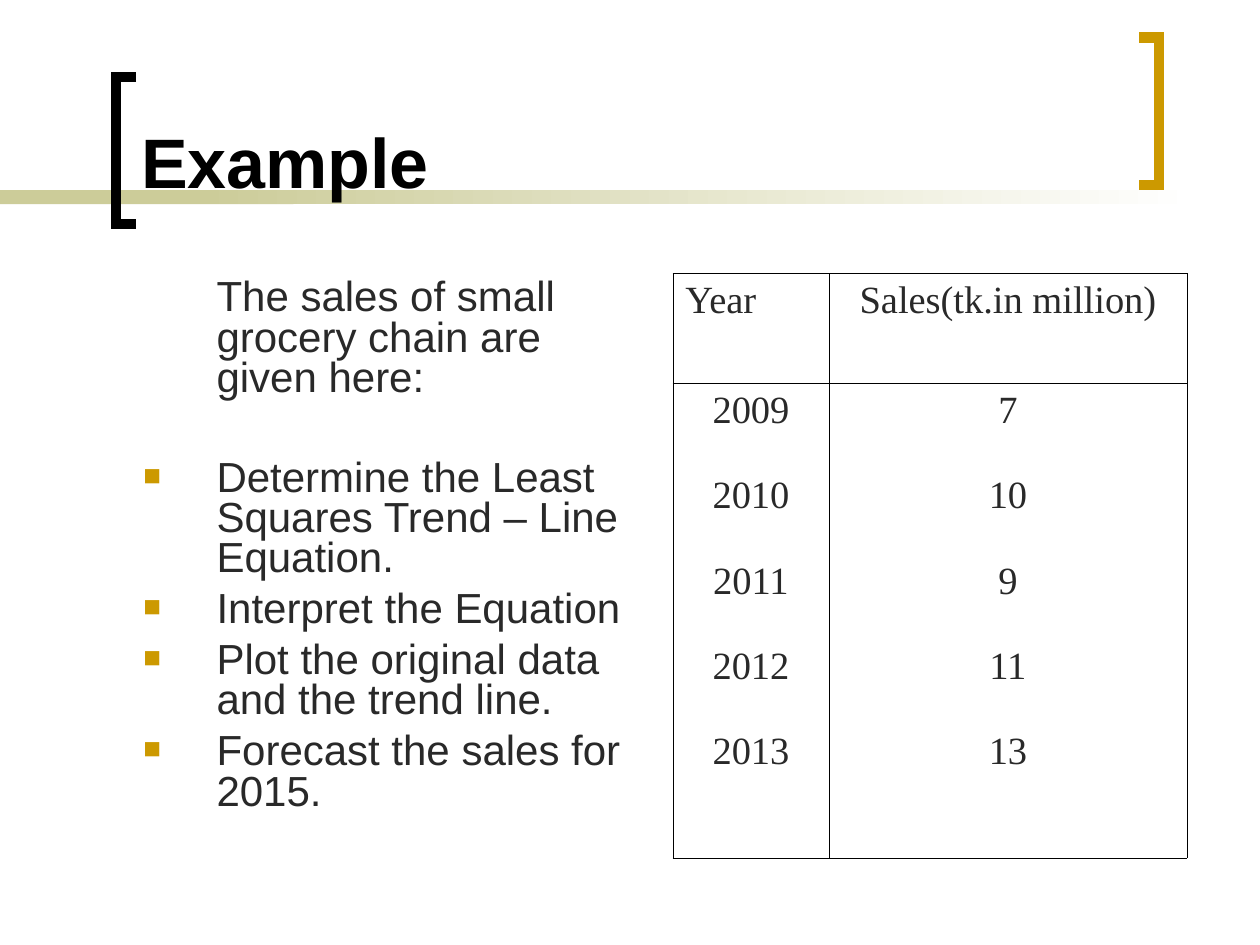
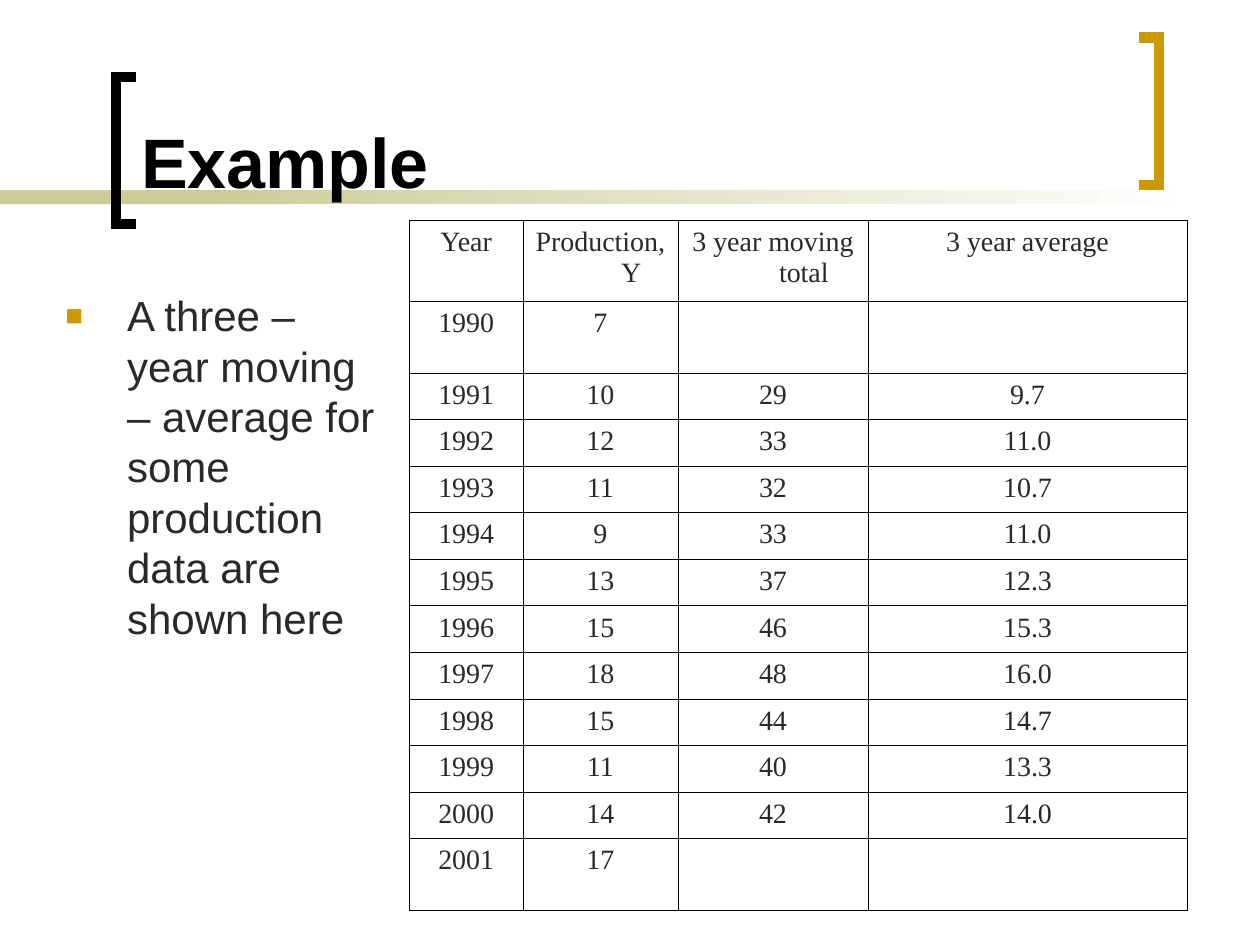
from lxml import etree
from pptx import Presentation
from pptx import util as u
from pptx.dml.color import RGBColor
from pptx.enum import shapes, text
from pptx.oxml.ns import qn

BLACK = RGBColor(0x00, 0x00, 0x00)
WHITE = RGBColor(0xFF, 0xFF, 0xFF)
INK = RGBColor(0x29, 0x29, 0x29)
SAND = RGBColor(0xCC, 0xCC, 0x99)
GOLD = RGBColor(0xCC, 0x99, 0x00)

SANS, SERIF = "Arial", "Times New Roman"
CELL_INDENT = 0.49

SALES = [("2009", "7"), ("2010", "10"), ("2011", "9"), ("2012", "11"), ("2013", "13")]
PRODUCTION = [
    ("1990", "7", "", ""),
    ("1991", "10", "29", "9.7"),
    ("1992", "12", "33", "11.0"),
    ("1993", "11", "32", "10.7"),
    ("1994", "9", "33", "11.0"),
    ("1995", "13", "37", "12.3"),
    ("1996", "15", "46", "15.3"),
    ("1997", "18", "48", "16.0"),
    ("1998", "15", "44", "14.7"),
    ("1999", "11", "40", "13.3"),
    ("2000", "14", "42", "14.0"),
    ("2001", "17", "", ""),
]

SLIDES = [
    {
        "title": "Example",
        "body": {
            "box": (1.04, 2.17, 4.11, 4.5), "indent": 0.58, "spacing": 0.8,
            "intro": "The sales of small grocery chain are given here:",
            "bullets": [
                "Determine the Least Squares Trend – Line Equation.",
                "Interpret the Equation",
                "Plot the original data and the trend line.",
                "Forecast the sales for 2015.",
            ],
        },
        "table": {
            "at": (5.34, 2.17), "cols": [1.24, 2.84], "rows": [0.87, 3.77],
            "size": 22, "gap": 24.4, "left_header": True,
            # each column of figures fills one tall cell
            "cells": [("Year", "Sales(tk.in million)"),
                      ["\n".join(column) for column in zip(*SALES)]],
        },
    },
    {
        "title": "Example",
        "body": {
            "box": (0.42, 2.25, 2.67, 4.5), "indent": 0.49, "spacing": 1.0,
            "intro": None,
            "bullets": ["A three – year moving – average for some production "
                        "data are shown here"],
        },
        "table": {
            "at": (3.25, 1.75), "cols": [0.9, 1.23, 1.51, 2.53],
            "rows": [0.64, 0.57] + [0.37] * 10 + [0.57],
            "size": 16, "gap": 0, "left_header": False,
            "cells": [("Year", "Production, Y", "3 year moving total",
                       "3 year average")] + PRODUCTION,
        },
    },
]


def inches(values):
    return [u.Inches(v) for v in values]


def format_text(p, font, size, color, bold=False):
    for r in p.runs:
        r.font.name, r.font.size, r.font.bold = font, u.Pt(size), bold
        r.font.color.rgb = color


def set_indent(p, left, first):
    pPr = p._p.get_or_add_pPr()
    pPr.set("marL", str(u.Inches(left)))
    pPr.set("indent", str(u.Inches(first)))
    return pPr


def add_band(s, box):
    sp = s.shapes.add_shape(shapes.MSO_SHAPE.RECTANGLE, *inches(box))
    sp.shadow.inherit = False
    sp.line.fill.background()
    return sp.fill


def add_bracket(s, spine, tip, top, color):
    """Draw a square bracket whose arms reach from spine to tip."""
    height = 1.17
    points = [(spine, top), (spine, top + height), (tip, top + height)]
    builder = s.shapes.build_freeform(*inches((tip, top)))
    builder.add_line_segments([inches(pt) for pt in points], close=False)
    sp = builder.convert_to_shape()
    sp.shadow.inherit = False
    sp.fill.background()
    sp.line.color.rgb, sp.line.width = color, u.Pt(6)
    etree.SubElement(sp.line._get_or_add_ln(), qn("a:miter"), lim="800000")


def add_frame(s, title):
    """Add the bands, brackets and title that every slide shares."""
    fill = add_band(s, (0, 1.51, 2.33, 0.11))
    fill.solid()
    fill.fore_color.rgb = SAND
    fill = add_band(s, (1.58, 1.51, 7.92, 0.11))
    fill.gradient()
    fill.gradient_angle = 0
    for stop, color in zip(fill.gradient_stops, (SAND, WHITE)):
        stop.color.rgb = color
    add_bracket(s, 0.92, 1.08, 0.61, BLACK)
    add_bracket(s, 9.2, 9.04, 0.3, GOLD)

    sp = s.shapes.title
    sp.left, sp.top, sp.width, sp.height = inches((1.02, 0.11, 7.83, 1.55))
    sp.element.getparent().append(sp.element)  # in front of the bands
    tf = sp.text_frame
    tf.text = title
    tf.auto_size = text.MSO_AUTO_SIZE.NONE
    tf.vertical_anchor = text.MSO_ANCHOR.BOTTOM
    p = tf.paragraphs[0]
    p.alignment = text.PP_ALIGN.LEFT
    format_text(p, SANS, 40, BLACK, bold=True)


def add_bullet(pPr):
    color = etree.SubElement(pPr, qn("a:buClr"))
    etree.SubElement(color, qn("a:srgbClr"), val=str(GOLD))
    etree.SubElement(pPr, qn("a:buSzPct"), val="70000")
    etree.SubElement(pPr, qn("a:buFont"), typeface=SANS)
    etree.SubElement(pPr, qn("a:buChar"), char="■")


def add_body(s, box, indent, spacing, intro, bullets):
    tf = s.shapes.add_textbox(*inches(box)).text_frame
    tf.word_wrap = True
    lines = ([intro] if intro else []) + bullets
    tf.text = "\n".join(lines)
    for p, line in zip(tf.paragraphs, lines):
        p.line_spacing, p.space_before = spacing, u.Pt(6)
        if line == intro:
            set_indent(p, indent, 0)
        else:
            add_bullet(set_indent(p, indent, -indent))
        format_text(p, SANS, 24, INK)
    if intro:
        tf.paragraphs[1].space_before = u.Pt(34)


def set_borders(cell):
    tcPr = cell._tc.get_or_add_tcPr()
    for side in ("lnL", "lnR", "lnT", "lnB"):
        ln = etree.SubElement(tcPr, qn("a:" + side), w=str(u.Pt(0.45)))
        fill = etree.SubElement(ln, qn("a:solidFill"))
        etree.SubElement(fill, qn("a:srgbClr"), val=str(BLACK))


def add_grid(s, at, cols, rows, size, gap, left_header, cells):
    extent = at + (sum(cols), sum(rows))
    table = s.shapes.add_table(len(rows), len(cols), *inches(extent)).table
    table.first_row = table.horz_banding = False
    for column, width in zip(table.columns, cols):
        column.width = u.Inches(width)
    for row, height, values in zip(table.rows, rows, cells):
        row.height = u.Inches(height)
        for cell, value in zip(row.cells, values):
            set_borders(cell)
            cell.fill.background()
            cell.text_frame.text = value
            for p in cell.text_frame.paragraphs:
                p.alignment = text.PP_ALIGN.CENTER
                p.space_after = u.Pt(gap)
                set_indent(p, CELL_INDENT, -CELL_INDENT)
                format_text(p, SERIF, size, INK)
    if left_header:
        table.cell(0, 0).text_frame.paragraphs[0].alignment = text.PP_ALIGN.LEFT


def main():
    prs = Presentation()
    prs.slide_width, prs.slide_height = inches((10, 7.5))
    title_only = prs.slide_layouts[5]
    for content in SLIDES:
        s = prs.slides.add_slide(title_only)
        add_frame(s, content["title"])
        add_body(s, **content["body"])
        add_grid(s, **content["table"])
    prs.save("out.pptx")


if __name__ == "__main__":
    main()
